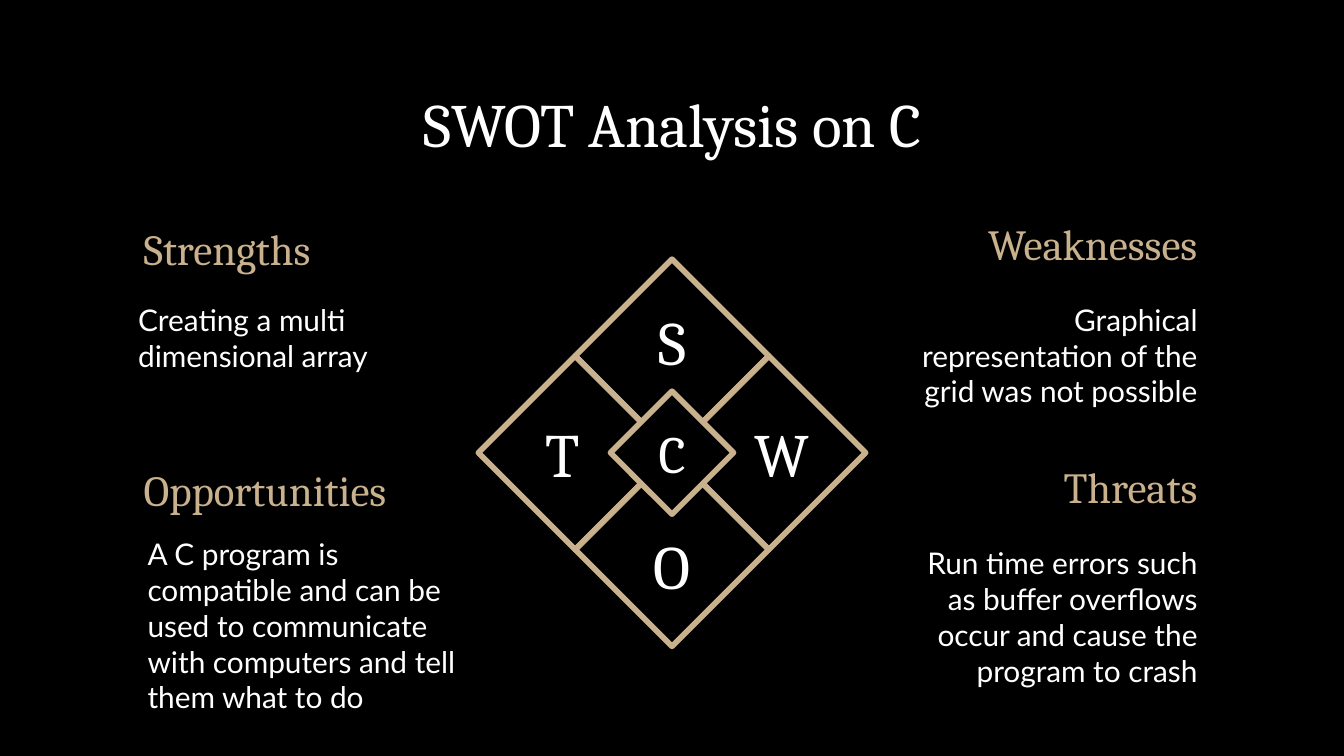
from collections import namedtuple

from lxml.etree import SubElement
from pptx import Presentation
from pptx.dml.color import RGBColor
from pptx.enum.shapes import MSO_SHAPE
from pptx.enum.text import MSO_ANCHOR, MSO_AUTO_SIZE, PP_ALIGN
from pptx.oxml.ns import qn
from pptx.util import Inches, Pt

BLACK = RGBColor(0x00, 0x00, 0x00)
WHITE = RGBColor(0xFF, 0xFF, 0xFF)
GOLD = RGBColor(0xC9, 0xB1, 0x8E)
SERIF, SANS = "Cambria", "Lato"
SLIDE_WIDTH, SLIDE_HEIGHT = Inches(10), Inches(5.625)
COL, ROW = SLIDE_WIDTH / 100, SLIDE_HEIGHT / 100
HEADING_HEIGHT = 9.6 * ROW

Box = namedtuple("Box", "left top width height")
Panel = namedtuple("Panel", "heading body box indent drop align")

PANELS = [
    Panel("Strengths", "Creating a multi dimensional array",
          (9.7, 28.1, 24.1, 21.9), -0.4, 10, PP_ALIGN.LEFT),
    Panel("Weaknesses", "Graphical representation of the grid was not possible",
          (66, 27.4, 24.1, 27), 0, 10.7, PP_ALIGN.RIGHT),
    Panel("Opportunities",
          "A C program is compatible and can be used to communicate "
          "with computers and tell them what to do",
          (9.7, 59.9, 27, 34.8), 0.3, 9.2, PP_ALIGN.LEFT),
    Panel("Threats",
          "Run time errors such as buffer overflows occur and cause "
          "the program to crash",
          (66, 59.6, 24.1, 22.6), 0, 10.7, PP_ALIGN.RIGHT),
]
DIRECTIONS = {"T": (-1, 0), "W": (1, 0), "S": (0, -1), "O": (0, 1)}


def grid_box(left, top, width, height):
    """Turn columns and rows into a box in slide units."""
    return Box(left * COL, top * ROW, width * COL, height * ROW)


def centred_box(x, y, width, height):
    """Return the box of the given size around a centre point."""
    return Box(x - width / 2, y - height / 2, width, height)


def whole(box):
    """Round a box to whole slide units."""
    return [round(length) for length in box]


def style_text(frame, wording, size, font, color, align, anchor):
    """Write one paragraph and format it."""
    frame.word_wrap = True
    frame.auto_size = MSO_AUTO_SIZE.NONE
    frame.vertical_anchor = anchor
    frame.margin_left = frame.margin_right = Inches(0.1)
    frame.margin_top = frame.margin_bottom = Inches(0.1)
    frame.text = wording
    paragraph = frame.paragraphs[0]
    paragraph.alignment = align
    letters = paragraph.runs[0].font
    letters.size, letters.name = Pt(size), font
    letters.color.rgb = color


def add_text(slide, box, *style):
    """Add a styled text box."""
    style_text(slide.shapes.add_textbox(*whole(box)).text_frame, *style)


def add_tile(slide, box):
    """Add a gold-edged square turned onto its corner and return it."""
    tile = slide.shapes.add_shape(MSO_SHAPE.RECTANGLE, *whole(box))
    tile.rotation = 45
    tile.shadow.inherit = False
    tile.fill.background()
    tile.line.color.rgb = GOLD
    tile.line.width = Pt(3)
    SubElement(tile.element.spPr.find(qn("a:ln")), qn("a:round"))
    return tile


def place_title(slide, box):
    """Move and format the slide title."""
    title = slide.shapes.title
    title.left, title.top, title.width, title.height = whole(box)
    style_text(title.text_frame, "SWOT Analysis on C", 33, SERIF, WHITE,
               PP_ALIGN.CENTER, MSO_ANCHOR.TOP)


def add_panel(slide, panel, box):
    """Add a heading with its explanation below."""
    add_text(slide, box._replace(height=HEADING_HEIGHT), panel.heading,
             23, SERIF, GOLD, panel.align, MSO_ANCHOR.MIDDLE)
    drop = panel.drop * ROW
    body_box = Box(box.left + panel.indent * COL, box.top + drop,
                   box.width, box.height - drop)
    add_text(slide, body_box, panel.body, 16, SANS, WHITE,
             panel.align, MSO_ANCHOR.TOP)


def add_diamond(slide, box):
    """Add four lettered tiles around a core, filling a square box."""
    span = box.width
    x, y = box.left + span / 2, box.top + span / 2
    side, core_side = 0.354 * span, 0.225 * span
    for across, down in DIRECTIONS.values():
        add_tile(slide, centred_box(x + across * span / 4,
                                    y + down * span / 4, side, side))
    core = add_tile(slide, centred_box(x, y, core_side, core_side))
    core.fill.solid()
    core.fill.fore_color.rgb = BLACK
    letter_style = SERIF, WHITE, PP_ALIGN.CENTER, MSO_ANCHOR.MIDDLE
    add_text(slide, centred_box(x, y, span / 4, span / 7), "C", 28, *letter_style)
    for letter, (across, down) in DIRECTIONS.items():
        letter_box = centred_box(x + across * 0.283 * span,
                                 y + down * 0.29 * span, span / 4, 0.41 * span)
        add_text(slide, letter_box, letter, 33, *letter_style)


def main():
    """Build and save the slide."""
    deck = Presentation()
    deck.slide_width, deck.slide_height = SLIDE_WIDTH, SLIDE_HEIGHT
    slide = deck.slides.add_slide(deck.slide_layouts[5])
    slide.background.fill.solid()
    slide.background.fill.fore_color.rgb = BLACK
    place_title(slide, grid_box(7.7, 9.6, 84.7, 12.8))
    for panel in PANELS:
        add_panel(slide, panel, grid_box(*panel.box))
    add_diamond(slide, centred_box(50 * COL, 59.9 * ROW, 28.8 * COL, 28.8 * COL))
    deck.save("out.pptx")


if __name__ == "__main__":
    main()
